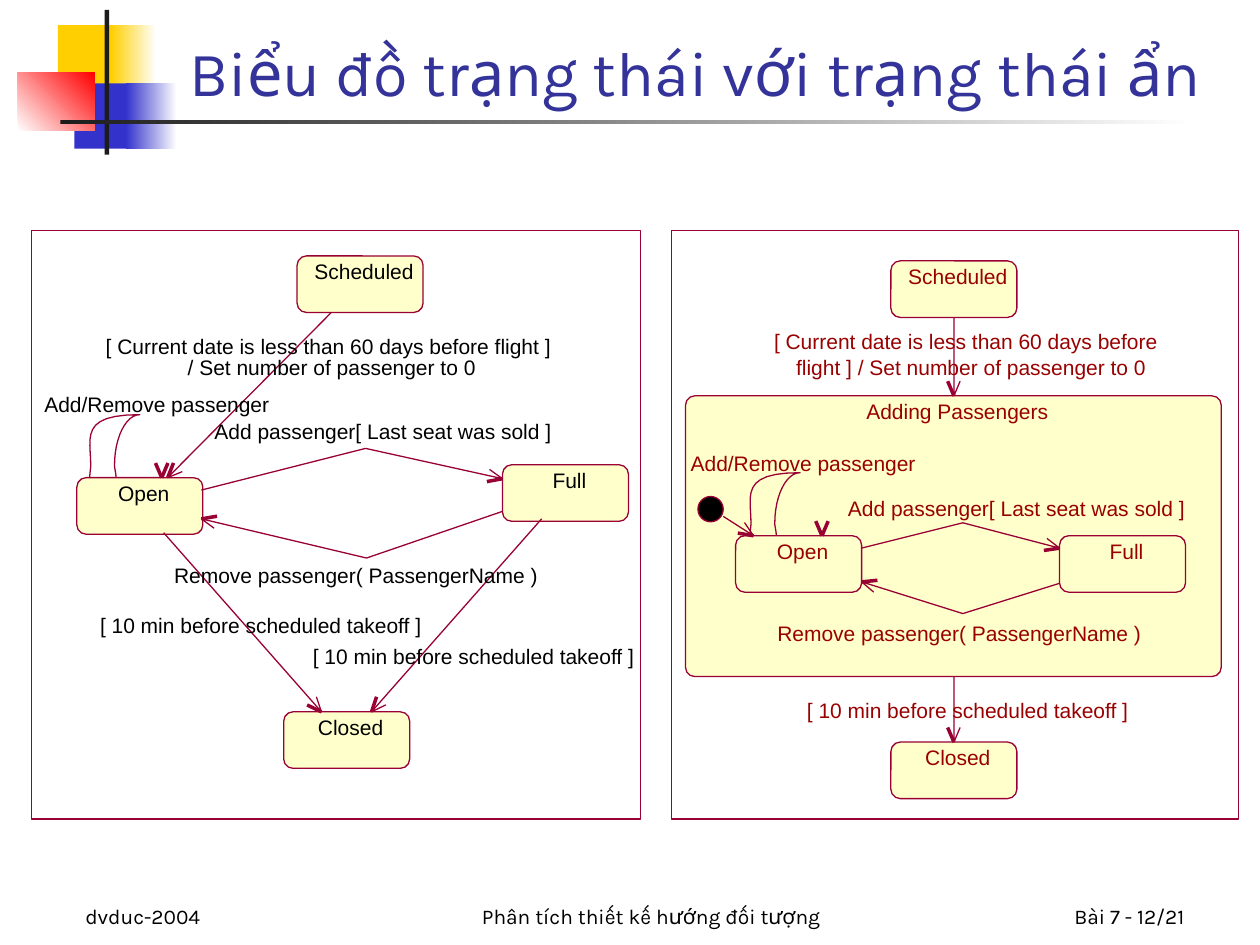
from dataclasses import dataclass
from math import atan2, cos, radians, sin

from lxml import etree
from pptx import Presentation
from pptx.dml.color import RGBColor
from pptx.enum.shapes import MSO_CONNECTOR, MSO_SHAPE
from pptx.enum.text import MSO_ANCHOR, MSO_AUTO_SIZE, PP_ALIGN
from pptx.oxml.ns import qn
from pptx.util import Cm, Pt

RECT, ROUND, OVAL = MSO_SHAPE.RECTANGLE, MSO_SHAPE.ROUNDED_RECTANGLE, MSO_SHAPE.OVAL
STRAIGHT = MSO_CONNECTOR.STRAIGHT
TOP, BOTTOM = MSO_ANCHOR.TOP, MSO_ANCHOR.BOTTOM
LEFT, CENTER, RIGHT = PP_ALIGN.LEFT, PP_ALIGN.CENTER, PP_ALIGN.RIGHT
FIXED, GROW = MSO_AUTO_SIZE.NONE, MSO_AUTO_SIZE.SHAPE_TO_FIT_TEXT


@dataclass(frozen=True)
class Theme:
    title: str = "333399"
    black: str = "000000"
    dark: str = "1C1C1C"
    white: str = "FFFFFF"
    yellow: str = "FFCF01"
    blue: str = "3333CC"
    red: str = "FF0000"
    state: str = "FFFFCC"
    line: str = "990033"
    maroon: str = "990000"
    heading_font: str = "Karla"
    label_font: str = "Arial"
    title_size: int = 36
    text_size: int = 12


LABEL_WIDTHS = {
    "Scheduled": 2.01, "Open": 1.04, "Full": 0.69, "Closed": 1.32,
    "Adding Passengers": 3.68,
    "Add/Remove passenger": 4.55,
    "Add passenger[ Last seat was sold ]": 6.81,
    "Remove passenger( PassengerName )": 7.34,
    "[ 10 min before scheduled takeoff ]": 6.5,
    "[ Current date is less than 60 days before flight ]": 8.99,
    "/ Set number of passenger to 0": 5.82,
    "[ Current date is less than 60 days before": 7.87,
    "flight ] / Set number of passenger to 0": 7.06,
}
STATE_W, STATE_H, CORNER = 2.54, 1.14, 0.19
LABEL_H, LABEL_SHIFT, LABEL_DROP = 0.51, 0.08, 0.05
BARB, BARB_ANGLE = 0.32, radians(23)
LOOP_TIP = 0.92
LOOP_CURVES = [
    [(0, 0), (0, -0.1), (-0.03, -0.18), (-0.03, -0.25)],
    [(-0.03, -0.25), (-0.03, -0.81), (0.2, -1.27), (0.48, -1.27)],
    [(0.48, -1.27), (-0.74, -1.27), (-0.51, -0.81), (-0.51, -0.25)],
    [(-0.51, -0.25), (-0.51, -0.18), (-0.53, -0.08), (-0.53, 0)],
]


def assign(obj, values):
    for name, value in values.items():
        setattr(obj, name, value)


def bezier(curve, steps=12):
    for i in range(1, steps + 1):
        t = i / steps
        weights = (1 - t) ** 3, 3 * t * (1 - t) ** 2, 3 * t * t * (1 - t), t ** 3
        yield tuple(sum(w * pt[k] for w, pt in zip(weights, curve)) for k in (0, 1))


def barb_end(tip, back, side):
    angle = back + side * BARB_ANGLE
    return tip[0] + BARB * cos(angle), tip[1] + BARB * sin(angle)


class Painter:
    def __init__(self, slide, theme):
        self.slide, self.theme, self.ink = slide, theme, theme.black

    def outline(self, sp):
        sp.line.color.rgb = RGBColor.from_string(self.theme.line)
        sp.line.width = Pt(0)

    def shape(self, kind, box, fill=None, fade=None, angle=0, outlined=False):
        sp = self.slide.shapes.add_shape(kind, *map(Cm, box))
        sp.shadow.inherit = False
        if fade:
            sp.fill.gradient()
            sp.fill.gradient_angle = angle
            for stop, color in zip(sp.fill.gradient_stops, (fill, fade)):
                stop.color.rgb = RGBColor.from_string(color)
        elif fill:
            sp.fill.solid()
            sp.fill.fore_color.rgb = RGBColor.from_string(fill)
        else:
            sp.fill.background()
        if outlined:
            self.outline(sp)
        else:
            sp.line.fill.background()
        return sp

    def text(self, sp, text, font, size, color, align, frame):
        tf = sp.text_frame
        assign(tf, frame)
        p = tf.paragraphs[0]
        p.alignment = align
        r = p.add_run()
        r.text = text
        assign(r.font, {"name": font, "size": Pt(size)})
        r.font.color.rgb = RGBColor.from_string(color)

    def title(self, text, box):
        sp = self.slide.shapes.title
        assign(sp, dict(zip(("left", "top", "width", "height"), map(Cm, box))))
        t = self.theme
        self.text(sp, text, t.heading_font, t.title_size, t.title, CENTER,
                  {"vertical_anchor": BOTTOM, "word_wrap": True, "auto_size": FIXED})

    def footer(self, text, left, width, align):
        sp = self.slide.shapes.add_textbox(*map(Cm, (left, 17.58, width, 1.27)))
        t = self.theme
        self.text(sp, text, t.heading_font, t.text_size, t.black, align,
                  {"vertical_anchor": BOTTOM, "word_wrap": True, "auto_size": FIXED})

    def label(self, text, left, top):
        box = left, top, LABEL_WIDTHS[text], LABEL_H
        sp = self.slide.shapes.add_textbox(*map(Cm, box))
        t = self.theme
        frame = dict.fromkeys(
            ("margin_left", "margin_top", "margin_right", "margin_bottom"), 0)
        frame.update(vertical_anchor=TOP, word_wrap=False, auto_size=GROW)
        self.text(sp, text, t.label_font, t.text_size, self.ink, CENTER, frame)

    def state(self, text, left, top, width=STATE_W, height=STATE_H):
        sp = self.shape(ROUND, (left, top, width, height), self.theme.state, outlined=True)
        sp.adjustments[0] = CORNER / min(width, height)
        center = left + width / 2 + LABEL_SHIFT
        self.label(text, center - LABEL_WIDTHS[text] / 2, top + LABEL_DROP)

    def polyline(self, points):
        start, *rest = [(Cm(x), Cm(y)) for x, y in points]
        builder = self.slide.shapes.build_freeform(*start)
        builder.add_line_segments(rest, close=False)
        sp = builder.convert_to_shape()
        sp.shadow.inherit = False
        sp.fill.background()
        self.outline(sp)

    def barb(self, tip, back, side):
        ends = (*tip, *barb_end(tip, back, side))
        sp = self.slide.shapes.add_connector(STRAIGHT, *map(Cm, ends))
        self.outline(sp)
        etree.SubElement(sp._element.spPr, qn("a:effectLst"))

    def arrow(self, *points):
        (x0, y0), tip = points[-2:]
        back = atan2(y0 - tip[1], x0 - tip[0])
        self.polyline([*points, barb_end(tip, back, 1)])
        self.barb(tip, back, -1)

    def loop(self, x, y):
        offsets = [(0, 0)] + [pt for curve in LOOP_CURVES for pt in bezier(curve)]
        self.polyline([(x + dx, y + dy) for dx, dy in offsets])
        for side in (1, -1):
            self.barb((x + LOOP_TIP, y), radians(-90), side)

    def diagram(self, ink, states, loop, arrows, labels):
        self.ink = ink
        for state in states:
            self.state(*state)
        self.loop(*loop)
        for points in arrows:
            self.arrow(*points)
        for label in labels:
            self.label(*label)


def main():
    prs = Presentation()
    prs.slide_width, prs.slide_height = Cm(25.4), Cm(19.05)
    s = prs.slides.add_slide(prs.slide_layouts[5])
    t = Theme()
    paint = Painter(s, t)

    for box, *fill in [
        ((1.17, 0.51, 1.22, 1.32), t.yellow),
        ((2.24, 0.51, 0.91, 1.32), t.yellow, t.white),
        ((1.5, 1.68, 1.17, 1.32), t.blue),
        ((2.54, 1.68, 1.02, 1.32), t.blue, t.white),
        ((0.36, 1.47, 1.55, 1.17), t.white, t.red, 45),
        ((2.11, 0.2, 0.09, 2.92), t.dark),
        ((1.22, 2.41, 22.86, 0.09), t.dark, t.white),
    ]:
        paint.shape(RECT, box, *fill)
    paint.title("Biểu đồ trạng thái với trạng thái ẩn", (3.2, 0.2, 21.64, 2.13))
    paint.footer("dvduc-2004", 1.47, 5.28, LEFT)
    paint.footer("Phân tích thiết kế hướng đối tượng", 8.26, 9.73, CENTER)
    paint.footer("Bài 7 - 12/21", 18.85, 5.28, RIGHT)

    for left, width in ((0.64, 12.27), (13.54, 11.43)):
        paint.shape(RECT, (left, 4.65, width, 11.86), outlined=True)

    paint.diagram(
        t.black,
        [("Scheduled", 5.99, 5.16), ("Open", 1.55, 9.63),
         ("Full", 10.13, 9.37), ("Closed", 5.72, 14.35)],
        (2.34, 9.63),
        [((6.68, 6.3), (3.38, 9.63)),
         ((4.06, 9.88), (7.37, 9.04), (10.13, 9.65)),
         ((10.13, 10.31), (7.39, 11.25), (4.06, 10.46)),
         ((3.3, 10.74), (6.48, 14.35)),
         ((10.92, 10.46), (7.49, 14.35))],
        [("[ Current date is less than 60 days before flight ]", 2.13, 6.73),
         ("/ Set number of passenger to 0", 3.78, 7.14),
         ("Add/Remove passenger", 0.89, 7.9),
         ("Add passenger[ Last seat was sold ]", 4.32, 8.43),
         ("Remove passenger( PassengerName )", 3.51, 11.35),
         ("[ 10 min before scheduled takeoff ]", 2.01, 12.34),
         ("[ 10 min before scheduled takeoff ]", 6.3, 12.98)])

    paint.diagram(
        t.maroon,
        [("Scheduled", 17.96, 5.26), ("Closed", 17.96, 14.96),
         ("Adding Passengers", 13.82, 7.98, 10.8, 5.66),
         ("Open", 14.83, 10.8), ("Full", 21.36, 10.8)],
        (15.65, 10.8),
        [((17.37, 11.05), (19.41, 10.54), (21.36, 11.05)),
         ((21.36, 11.76), (19.41, 12.37), (17.37, 11.73)),
         ((19.23, 13.64), (19.23, 14.96)),
         ((19.23, 6.4), (19.23, 7.98)),
         ((14.58, 10.41), (15.19, 10.8))],
        [("[ Current date is less than 60 days before", 15.54, 6.63),
         ("flight ] / Set number of passenger to 0", 16.05, 7.14),
         ("Add/Remove passenger", 13.92, 9.09),
         ("Add passenger[ Last seat was sold ]", 17.09, 9.98),
         ("Remove passenger( PassengerName )", 15.67, 12.5),
         ("[ 10 min before scheduled takeoff ]", 16.26, 14.07)])
    paint.shape(OVAL, (14.07, 10.01, 0.51, 0.51), t.black, outlined=True)

    prs.save("out.pptx")


if __name__ == "__main__":
    main()
